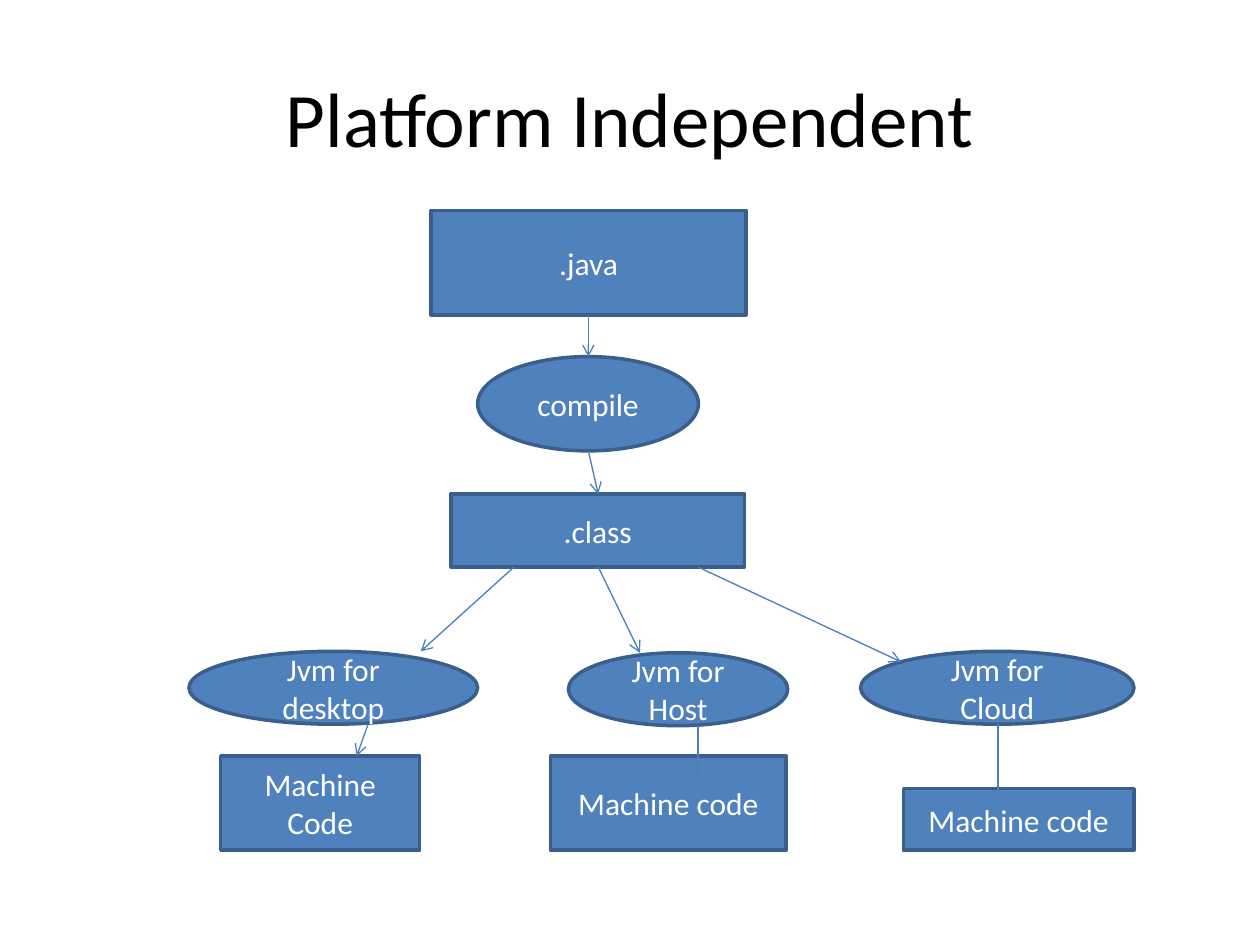
from pptx import Presentation
from pptx.dml.color import RGBColor
from pptx.enum.shapes import MSO_CONNECTOR as Link, MSO_SHAPE as Preset
from pptx.enum.text import MSO_ANCHOR as Anchor, PP_ALIGN as Align
from pptx.oxml.ns import qn
from pptx.util import Cm, Pt
from lxml.etree import SubElement

COLORS = {"fill": "4F81BD", "edge": "3A5F8C", "arrow": "4B7EBC",
          "title": "000000", "label": "FFFFFF"}
FONT = "Calibri"

# Centimetres from the corner of the flow chart: left, top, width, height
NODES = [
    (".java", Preset.RECTANGLE, 4.88, 0, 6.35, 2.11),
    ("compile", Preset.OVAL, 5.82, 2.95, 4.45, 1.9),
    (".class", Preset.RECTANGLE, 5.28, 5.72, 5.92, 1.47),
    ("Jvm for desktop", Preset.OVAL, 0, 8.89, 5.82, 1.47),
    ("Jvm for Host", Preset.OVAL, 7.65, 8.92, 4.42, 1.47),
    ("Jvm for Cloud", Preset.OVAL, 13.54, 8.89, 5.51, 1.47),
    ("Machine Code", Preset.RECTANGLE, 0.64, 11, 4.01, 1.9),
    ("Machine code", Preset.RECTANGLE, 7.29, 11, 4.75, 1.9),
    ("Machine code", Preset.RECTANGLE, 14.4, 11.66, 4.65, 1.24),
]
# Start x, start y, end x, end y
ARROWS = [
    (8.05, 2.11, 8.05, 2.95),
    (8.05, 4.85, 8.25, 5.72),
    (6.55, 7.19, 4.67, 8.89),
    (8.25, 7.19, 9.09, 8.92),
    (10.26, 7.19, 14.35, 9.1),
    (3.61, 10.36, 3.38, 11),
    (10.26, 10.39, 10.26, 11.66),
    (16.31, 10.36, 16.31, 11.97),
]


def color(name):
    """Return the named colour."""
    return RGBColor.from_string(COLORS[name])


def write(frame, text, size, color_name):
    """Write one centred run in a text frame."""
    frame.word_wrap = True
    frame.vertical_anchor = Anchor.MIDDLE
    para = frame.paragraphs[0]
    para.alignment = Align.CENTER
    span = para.add_run()
    span.text = text
    span.font.name = FONT
    span.font.size = Pt(size)
    span.font.color.rgb = color(color_name)


def add_title(page, text, left, top, width, height):
    """Place and fill the title placeholder."""
    title = page.shapes.title
    title.left, title.top = Cm(left), Cm(top)
    title.width, title.height = Cm(width), Cm(height)
    write(title.text_frame, text, 44, "title")


def add_node(page, text, preset, left, top, width, height):
    """Add one labelled step of the flow chart."""
    node = page.shapes.add_shape(preset, Cm(left), Cm(top), Cm(width), Cm(height))
    node.shadow.inherit = False
    node.fill.solid()
    node.fill.fore_color.rgb = color("fill")
    node.line.color.rgb = color("edge")
    node.line.width = Pt(2)
    write(node.text_frame, text, 18, "label")


def add_arrow(page, start_x, start_y, end_x, end_y):
    """Add a thin line with an open arrowhead at its end."""
    arrow = page.shapes.add_connector(
        Link.STRAIGHT, Cm(start_x), Cm(start_y), Cm(end_x), Cm(end_y))
    arrow.line.color.rgb = color("arrow")
    arrow.line.width = Pt(0.75)
    SubElement(arrow.line._get_or_add_ln(), qn("a:tailEnd"), type="arrow")
    SubElement(arrow._element.spPr, qn("a:effectLst"))


def add_flow_chart(page, left, top):
    """Draw the steps and arrows from the given corner."""
    for text, preset, x, y, width, height in NODES:
        add_node(page, text, preset, left + x, top + y, width, height)
    for start_x, start_y, end_x, end_y in ARROWS:
        add_arrow(page, left + start_x, top + start_y, left + end_x, top + end_y)


deck = Presentation()
deck.slide_width, deck.slide_height = Cm(25.4), Cm(19.05)
page = deck.slides.add_slide(deck.slide_layouts[5])
add_title(page, "Platform Independent", 1.27, 0.76, 22.86, 3.18)
add_flow_chart(page, 3.81, 4.24)
deck.save("out.pptx")
